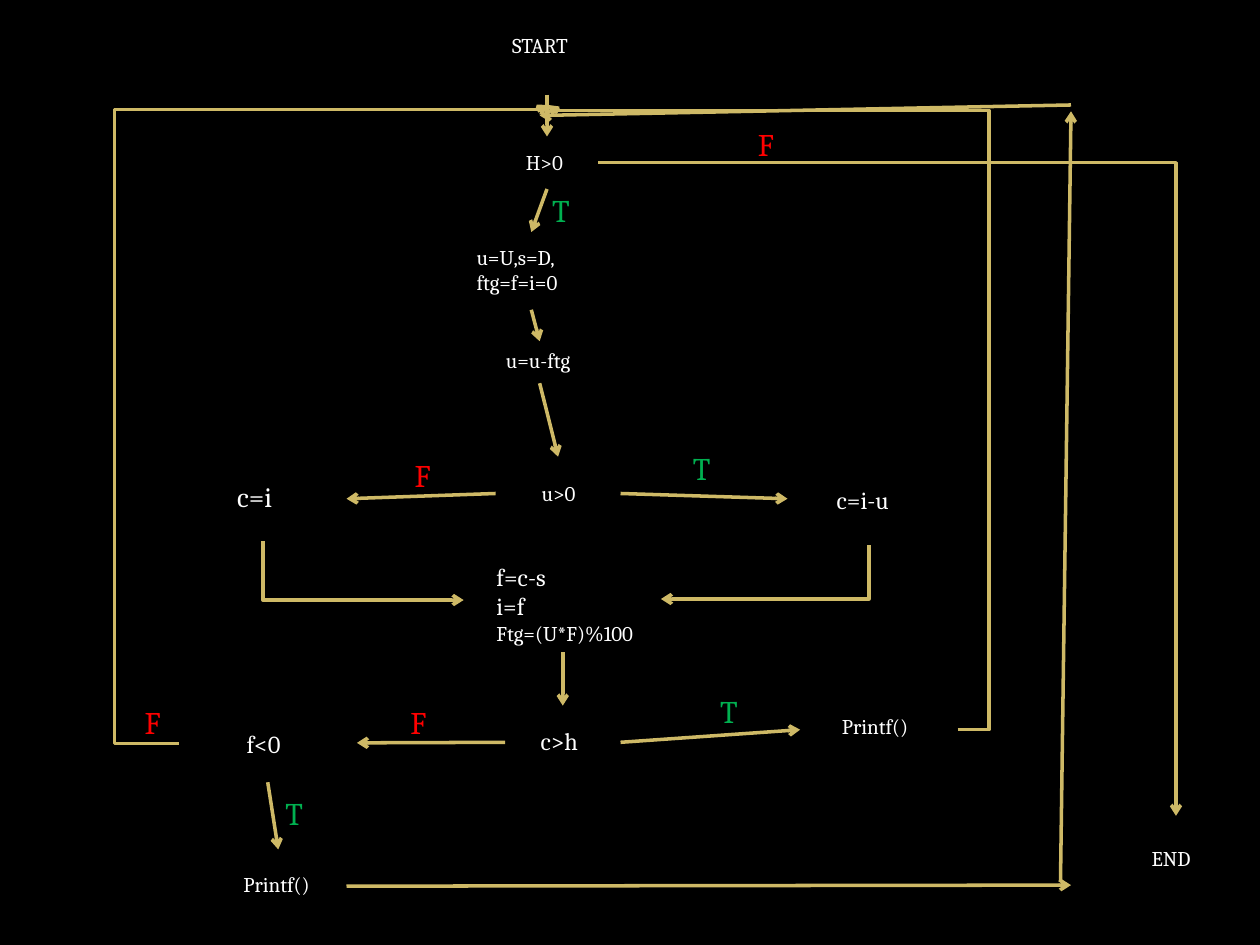
from dataclasses import dataclass

import pptx
import pptx.dml.color
import pptx.enum.shapes
import pptx.oxml.ns
import pptx.util
from lxml import etree

COLORS = {"back": "000000", "text": "FFFFFF", "line": "CEB966", "T": "00B050", "F": "FF0000"}
FONT = "Cambria"
COLS, ROWS = 120, 90
SHAPE = pptx.enum.shapes.MSO_SHAPE
CONNECTOR = pptx.enum.shapes.MSO_CONNECTOR
TOP, LEFT, BOTTOM, RIGHT = range(4)
qn = pptx.oxml.ns.qn

prs = pptx.Presentation()
prs.slide_width = pptx.util.Inches(10)
prs.slide_height = pptx.util.Inches(7.5)


@dataclass
class Node:
    kind: SHAPE
    box: tuple
    label: tuple  # left, top, width, height
    lines: list
    sizes: tuple = (12,)


@dataclass
class Elbow:
    box: tuple
    bends: int
    rot: int = 0
    flips: tuple = ()
    adj: tuple = ()


@dataclass
class Arrow:
    """An end is either a (node name, site) pair or a (column, row) point."""
    start: tuple
    end: tuple


NODES = {
    "start": Node(SHAPE.OVAL, (46.1, 1, 12, 8), (47.6, 2.5, 9.4, 3.6), ["START"]),
    "H>0": Node(SHAPE.DIAMOND, (47.2, 13, 9.8, 5), (48.9, 13.7, 8.1, 3.6), ["H>0"]),
    "init": Node(SHAPE.RECTANGLE, (42.2, 22.1, 16.8, 7.4), (44.2, 22.7, 16.4, 8.5),
                 ["u=U,s=D,", "ftg=f=i=0"]),
    "u>0": Node(SHAPE.DIAMOND, (47.2, 43.5, 11.9, 7), (50.4, 45.2, 9.4, 3.6), ["u>0"]),
    "subtract": Node(SHAPE.RECTANGLE, (42.2, 32.5, 18.4, 4), (47, 32.5, 9.4, 3.6), ["u=u-ftg"]),
    "update": Node(SHAPE.RECTANGLE, (44.2, 52, 18.8, 10.1), (46.1, 52.9, 16.2, 9.2),
                   ["f=c-s", "i=f", "Ftg=(U*F)%100"], (14, 14, 12)),
    "c>h": Node(SHAPE.DIAMOND, (48.1, 67.2, 11, 7), (50.3, 68.6, 6.5, 4.1), ["c>h"], (14,)),
    "f<0": Node(SHAPE.DIAMOND, (17, 67, 17, 7.5), (22.3, 68.8, 6.6, 4.1), ["f<0"], (14,)),
    "print left": Node(SHAPE.RECTANGLE, (20, 80.9, 13, 7), (22, 82.4, 9.4, 3.6), ["Printf()"]),
    "print right": Node(SHAPE.RECTANGLE, (76.2, 66, 15, 7), (79, 67.4, 9.4, 3.6), ["Printf()"]),
    "c=i": Node(SHAPE.RECTANGLE, (17, 43.5, 16, 8), (21.4, 45.1, 7.6, 4.4), ["c=i"], (16,)),
    "c=i-u": Node(SHAPE.RECTANGLE, (75, 43, 15.5, 9), (78.5, 45.6, 9.4, 4.1), ["c=i-u"], (14,)),
    "end": Node(SHAPE.OVAL, (107, 77.8, 10, 8.3), (108.5, 79.9, 9.4, 3.6), ["END"]),
}
ARROWS = [
    Arrow((52.1, 9), ("H>0", TOP)),
    Arrow(("H>0", BOTTOM), ("init", TOP)),
    Arrow(("init", BOTTOM), ("subtract", TOP)),
    Arrow(("subtract", BOTTOM), ("u>0", TOP)),
    Arrow(("u>0", RIGHT), ("c=i-u", LEFT)),
    Arrow(("u>0", LEFT), ("c=i", RIGHT)),
    Arrow(("update", BOTTOM), ("c>h", TOP)),
    Arrow(("c>h", RIGHT), ("print right", LEFT)),
    Arrow(("c>h", LEFT), ("f<0", RIGHT)),
    Arrow(("f<0", BOTTOM), ("print left", TOP)),
    Arrow(("print left", RIGHT), (102, 84.3)),
    Arrow((101, 84), (102, 10.6)),
    Arrow((102, 10), (51.4, 11)),
]
ELBOWS = [
    Elbow((70.3, 44.6, 5.1, 19.8), 2, rot=90),
    Elbow((31.8, 44.8, 5.6, 19.1), 2, rot=270, flips=("flipH",)),
    Elbow((17, 10, 35.2, 60.8), 4, rot=180, flips=("flipH",), adj=(-17300, 99300)),
    Elbow((52.2, 10, 39, 59.5), 4, flips=("flipH", "flipV"), adj=(-7700, 99100)),
    Elbow((57, 15.5, 55, 62.2), 2),
]
MARKS = [
    ("T", 51.4, 17.6), ("F", 71, 11.3), ("F", 37.9, 66.4), ("T", 67.4, 65.3),
    ("T", 26, 75), ("F", 12.6, 66.4), ("T", 64.8, 42.2), ("F", 38.3, 42.8),
]


def rgb(name: str) -> pptx.dml.color.RGBColor:
    return pptx.dml.color.RGBColor.from_string(COLORS[name])


def cells(*values: float) -> list:
    """Turn alternating column and row counts into slide lengths."""
    units = (prs.slide_width / COLS, prs.slide_height / ROWS)
    return [round(v * units[i % 2]) for i, v in enumerate(values)]


def add_node(s, node: Node):
    sp = s.shapes.add_shape(node.kind, *cells(*node.box))
    sp.shadow.inherit = False
    sp.fill.solid()
    sp.fill.fore_color.rgb = rgb("back")
    sp.line.color.rgb = rgb("back")
    sp.line.width = pptx.util.Pt(2)
    return sp


def add_text(s, lines: list, box: tuple, *, sizes: tuple = (12,), color: str = "text") -> None:
    tf = s.shapes.add_textbox(*cells(*box)).text_frame
    tf.word_wrap = True
    for i, line in enumerate(lines):
        p = tf.add_paragraph() if i else tf.paragraphs[0]
        r = p.add_run()
        r.text = line
        r.font.name = FONT
        r.font.size = pptx.util.Pt(sizes[i % len(sizes)])
        r.font.color.rgb = rgb(color)


def style_arrow(cxn) -> None:
    cxn.line.color.rgb = rgb("line")
    cxn.line.width = pptx.util.Pt(2)
    spPr = cxn._element.spPr
    etree.SubElement(spPr.find(qn("a:ln")), qn("a:tailEnd"), type="arrow")
    etree.SubElement(spPr, qn("a:effectLst"))


def add_arrow(s, arrow: Arrow, shapes: dict) -> None:
    def point(end: tuple) -> list:
        return [0, 0] if end[0] in shapes else cells(*end)

    cxn = s.shapes.add_connector(CONNECTOR.STRAIGHT, *point(arrow.start), *point(arrow.end))
    for end, connect in ((arrow.start, cxn.begin_connect), (arrow.end, cxn.end_connect)):
        if end[0] in shapes:
            connect(shapes[end[0]], end[1])
    style_arrow(cxn)


def add_elbow(s, elbow: Elbow) -> None:
    """Draw a bent connector from its frame before rotation."""
    x, y, w, h = cells(*elbow.box)
    cxn = s.shapes.add_connector(CONNECTOR.ELBOW, x, y, x + w, y + h)
    spPr = cxn._element.spPr
    xfrm, geom = spPr.find(qn("a:xfrm")), spPr.find(qn("a:prstGeom"))
    xfrm.set("rot", str(elbow.rot * 60000))
    for flip in elbow.flips:
        xfrm.set(flip, "1")
    geom.set("prst", f"bentConnector{elbow.bends}")
    for i, value in enumerate(elbow.adj, 1):
        etree.SubElement(geom.find(qn("a:avLst")), qn("a:gd"), name=f"adj{i}", fmla=f"val {value}")
    style_arrow(cxn)


def main() -> None:
    s = prs.slides.add_slide(prs.slide_layouts[6])
    s.background.fill.solid()
    s.background.fill.fore_color.rgb = rgb("back")
    shapes = {name: add_node(s, node) for name, node in NODES.items()}
    for arrow in ARROWS:
        add_arrow(s, arrow, shapes)
    for elbow in ELBOWS:
        add_elbow(s, elbow)
    for node in NODES.values():
        add_text(s, node.lines, node.label, sizes=node.sizes)
    for mark, col, row in MARKS:
        add_text(s, [mark], (col, row, 4, 4.8), sizes=(18,), color=mark)
    prs.save("out.pptx")


if __name__ == "__main__":
    main()
